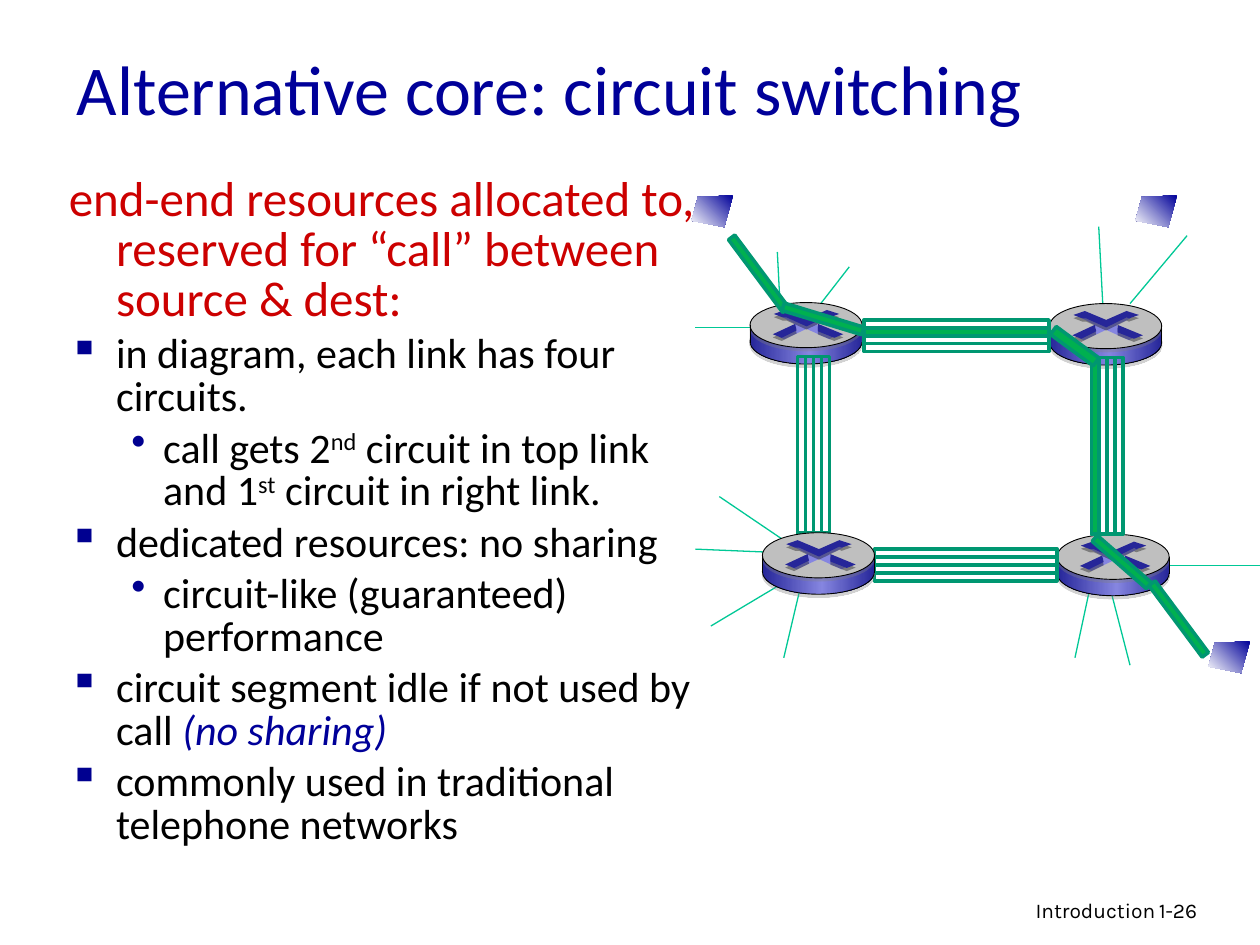
import dataclasses

import lxml.etree
import pptx
import pptx.dml.color
import pptx.enum.shapes
import pptx.enum.text
import pptx.oxml.ns
import pptx.util

Cm = pptx.util.Cm
Pt = pptx.util.Pt
qn = pptx.oxml.ns.qn
SHAPE = pptx.enum.shapes.MSO_SHAPE


@dataclasses.dataclass(frozen=True)
class Theme:
    face: str = "Calibri"
    small: str = "Karla"
    head: int = 40
    lead: int = 28
    body: int = 24
    foot: int = 12
    navy: str = "000099"
    mark: str = "000090"
    red: str = "CC0000"
    black: str = "000000"
    white: str = "FFFFFF"
    grey: str = "BFBFBF"
    shade: str = "808080"
    dark: str = "262699"
    light: str = "8585E0"
    wire: str = "00C896"
    tube: str = "009771"
    call: str = "00B050"


THEME = Theme()
METAL = ((0, THEME.dark), (53, THEME.light), (100, THEME.dark))
SCREEN = ((0, THEME.navy), (100, THEME.white))

POINTS = (
    (0, (("end-end resources allocated to, reserved for “call” between source & dest:", ""),)),
    (1, (("in diagram, each link has four circuits.", ""),)),
    (2, (("call gets 2", ""), ("nd", "sup"), (" circuit in top link and 1", ""),
         ("st", "sup"), (" circuit in right link.", ""))),
    (1, (("dedicated resources: no sharing", ""),)),
    (2, (("circuit-like (guaranteed) performance", ""),)),
    (1, (("circuit segment idle if not used by call ", ""), ("(no sharing)", "note"))),
    (1, (("commonly used in traditional telephone networks", ""),)),
)
LEVELS = (
    (0.95, -0.95, "", THEME.lead, THEME.red),
    (0.95, -0.95, "▪", THEME.body, THEME.black),
    (1.9, -0.64, "•", THEME.body, THEME.black),
)

CROSS = ((1.14, 0.53), (0.69, 0.74), (0.58, 0.69), (0.94, 0.56), (0.91, 0.43), (0.66, 0.3),
         (0.74, 0.28), (1.14, 0.46), (1.52, 0.28), (1.63, 0.3), (1.35, 0.43), (1.4, 0.58),
         (1.68, 0.69), (1.6, 0.74))
ARMS = (
    ((0.48, 0.23), (0.71, 0.15), (1.14, 0.33), (1.55, 0.15), (1.8, 0.23), (1.6, 0.3),
     (1.55, 0.28), (1.14, 0.48), (0.74, 0.3), (0.66, 0.3)),
    ((1.37, 0.43), (1.88, 0.64), (1.7, 0.71), (1.37, 0.58)),
    ((0.91, 0.43), (0.94, 0.56), (0.64, 0.71), (0.46, 0.64)),
)
HOST = ((0.84, 0), (0.13, 0.03), (0, 0.51), (0.66, 0.64))

WIRES = (
    (2.67, 2.08, 2.75, 3.63), (4.12, 2.38, 3.15, 3.63), (1.02, 3.6, 2.32, 3.6),
    (9.78, 10.41, 9.38, 8.86), (8.67, 10.26, 8.97, 8.86), (1.02, 8.07, 2.47, 8.13),
    (1.5, 7.01, 2.77, 7.87), (1.33, 9.62, 2.77, 8.76), (2.8, 10.26, 3.13, 8.86),
    (12.4, 8.4, 10.44, 8.4), (9.15, 1.57, 9.23, 3.12), (10.93, 1.75, 9.78, 3.12),
)
LINKS = ((4.42, 3.45, 3.73, 0.64, 1), (3.08, 4.19, 0.64, 3.56, None),
         (4.63, 8.07, 3.68, 0.64, None), (9, 4.21, 0.64, 3.56, 0))
CALL = ((1.38, 2.44, 1.83, 0.16, 53.3), (9.86, 9.4, 1.8, 0.16, 53.3),
        (2.75, 3.35, 1.68, 0.16, 16.9), (8.89, 8.25, 1.45, 0.16, 41.1),
        (8.13, 3.88, 1.07, 0.2, 36.3))


def rgb(code):
    return pptx.dml.color.RGBColor.from_string(code)


def shift(box, x, y):
    return box[0] + x, box[1] + y


def shadow(shape, color):
    for old in shape._element.spPr.findall(qn("a:effectLst")):
        shape._element.spPr.remove(old)
    group = lxml.etree.SubElement(shape._element.spPr, qn("a:effectLst"))
    if color:
        outer = lxml.etree.SubElement(group, qn("a:outerShdw"), dist="22860", dir="5400000")
        tint = lxml.etree.SubElement(outer, qn("a:srgbClr"), val=color)
        lxml.etree.SubElement(tint, qn("a:alpha"), val="35000")


def paint(shape, fill, line=None, width=0.5, shade=None, angle=0):
    if fill is None:
        shape.fill.background()
    elif isinstance(fill, str):
        shape.fill.solid()
        shape.fill.fore_color.rgb = rgb(fill)
    else:
        shape.fill.gradient()
        shape.fill.gradient_angle = angle
        stops = shape._element.spPr.find(qn("a:gradFill")).find(qn("a:gsLst"))
        for old in list(stops):
            stops.remove(old)
        for place, color in fill:
            stop = lxml.etree.SubElement(stops, qn("a:gs"), pos=str(place * 1000))
            lxml.etree.SubElement(stop, qn("a:srgbClr"), val=color)
    if line:
        shape.line.color.rgb = rgb(line)
        shape.line.width = Pt(width)
    else:
        shape.line.fill.background()
    shadow(shape, shade)


def add(slide, kind, box, *style, **more):
    shape = slide.shapes.add_shape(kind, *map(Cm, box))
    paint(shape, *style, **more)
    return shape


def outline(slide, box, points, fill, **more):
    spots = [tuple(map(Cm, shift(box, x, y))) for x, y in points]
    pen = slide.shapes.build_freeform(*spots[0], scale=1.0)
    pen.add_line_segments(spots[1:], close=True)
    paint(pen.convert_to_shape(), fill, **more)


def wire(slide, box, ends, color, width, shade=None):
    x, y, far, low = ends
    line = slide.shapes.add_connector(
        pptx.enum.shapes.MSO_CONNECTOR.STRAIGHT,
        *map(Cm, shift(box, x, y) + shift(box, far, low)))
    line.line.color.rgb = rgb(color)
    line.line.width = Pt(width)
    shadow(line, shade)


def style(par, face, size, color):
    par.font.name = face
    par.font.size = Pt(size)
    par.font.color.rgb = rgb(color)


def label(slide, box, text, face, size, color, align="LEFT", anchor="TOP"):
    frame = slide.shapes.add_textbox(*map(Cm, box)).text_frame
    frame.word_wrap = True
    frame.vertical_anchor = getattr(pptx.enum.text.MSO_ANCHOR, anchor)
    par = frame.paragraphs[0]
    par.text = text
    par.alignment = getattr(pptx.enum.text.PP_ALIGN, align)
    style(par, face, size, color)


def body(slide, box):
    frame = slide.shapes.add_textbox(*map(Cm, box)).text_frame
    frame.word_wrap = True
    for rank, (level, parts) in enumerate(POINTS):
        par = frame.add_paragraph() if rank else frame.paragraphs[0]
        left, hang, mark, size, color = LEVELS[level]
        par.line_spacing = 0.85
        if rank:
            par.space_before = Pt(size * 0.2)
        props = par._p.get_or_add_pPr()
        props.set("marL", str(Cm(left)))
        props.set("indent", str(Cm(hang)))
        if mark:
            tint = lxml.etree.SubElement(props, qn("a:buClr"))
            lxml.etree.SubElement(tint, qn("a:srgbClr"), val=THEME.mark)
            lxml.etree.SubElement(props, qn("a:buChar"), char=mark)
        style(par, THEME.face, size, color)
        for text, kind in parts:
            run = par.add_run()
            run.text = text
            if kind == "sup":
                run._r.get_or_add_rPr().set("baseline", "30000")
            elif kind == "note":
                run.font.italic = True
                run.font.color.rgb = rgb(THEME.navy)


def router(slide, box):
    wide = 2.26
    edge = dict(line=THEME.black, shade=THEME.shade)
    add(slide, SHAPE.OVAL, (*shift(box, 0, 0.33), wide, 0.91), METAL, **edge)
    add(slide, SHAPE.RECTANGLE, (*shift(box, 0, 0.46), wide, 0.33), METAL)
    add(slide, SHAPE.OVAL, (*box, wide, 0.91), THEME.grey, **edge)
    outline(slide, box, CROSS, THEME.light)
    for arm in ARMS:
        outline(slide, box, arm, THEME.dark, shade=THEME.black)
    for x in (0, wide):
        wire(slide, box, (x, 0.46, x, 0.81), THEME.black, 0.5, THEME.shade)


def link(slide, box, used):
    x, y, wide, high = box
    flat = wide > high
    step = min(wide, high) / 4
    order = sorted(range(4), key=lambda lane: lane == used)
    for lane in order:
        spot = (x, y + lane * step, wide, step) if flat else (x + lane * step, y, step, high)
        add(slide, SHAPE.RECTANGLE, spot, THEME.call if lane == used else None, THEME.tube, 2)


def network(slide, box):
    for ends in WIRES:
        wire(slide, box, ends, THEME.wire, 0.75)
    for spot in ((2.12, 3.1), (8.16, 3.12), (8.31, 7.77)):
        router(slide, shift(box, *spot))
    for spot in ((0.94, 0.94), (9.89, 0.94), (11.36, 9.93)):
        outline(slide, shift(box, *spot), HOST, SCREEN, angle=225)
    for x, y, wide, high, used in LINKS:
        link(slide, (*shift(box, x, y), wide, high), used)
    for x, y, wide, high, turn in CALL:
        part = add(slide, SHAPE.RECTANGLE, (*shift(box, x, y), wide, high),
                   THEME.call, THEME.tube, 2)
        part.rotation = turn
    router(slide, shift(box, 2.37, 7.74))


def main():
    deck = pptx.Presentation()
    deck.slide_width, deck.slide_height = Cm(25.4), Cm(19.05)
    slide = deck.slides.add_slide(deck.slide_layouts[6])
    label(slide, (1.3, 0.76, 21.59, 2.01), "Alternative core: circuit switching",
          THEME.face, THEME.head, THEME.navy, anchor="MIDDLE")
    body(slide, (1.14, 3.43, 13.16, 12.9))
    network(slide, (13, 3))
    note = THEME.small, THEME.foot, THEME.black
    label(slide, (15.49, 17.96, 8.05, 0.79), "Introduction", *note, align="RIGHT")
    label(slide, (23.11, 17.96, 1.88, 0.76), "1-26", *note)
    deck.save("out.pptx")


if __name__ == "__main__":
    main()
